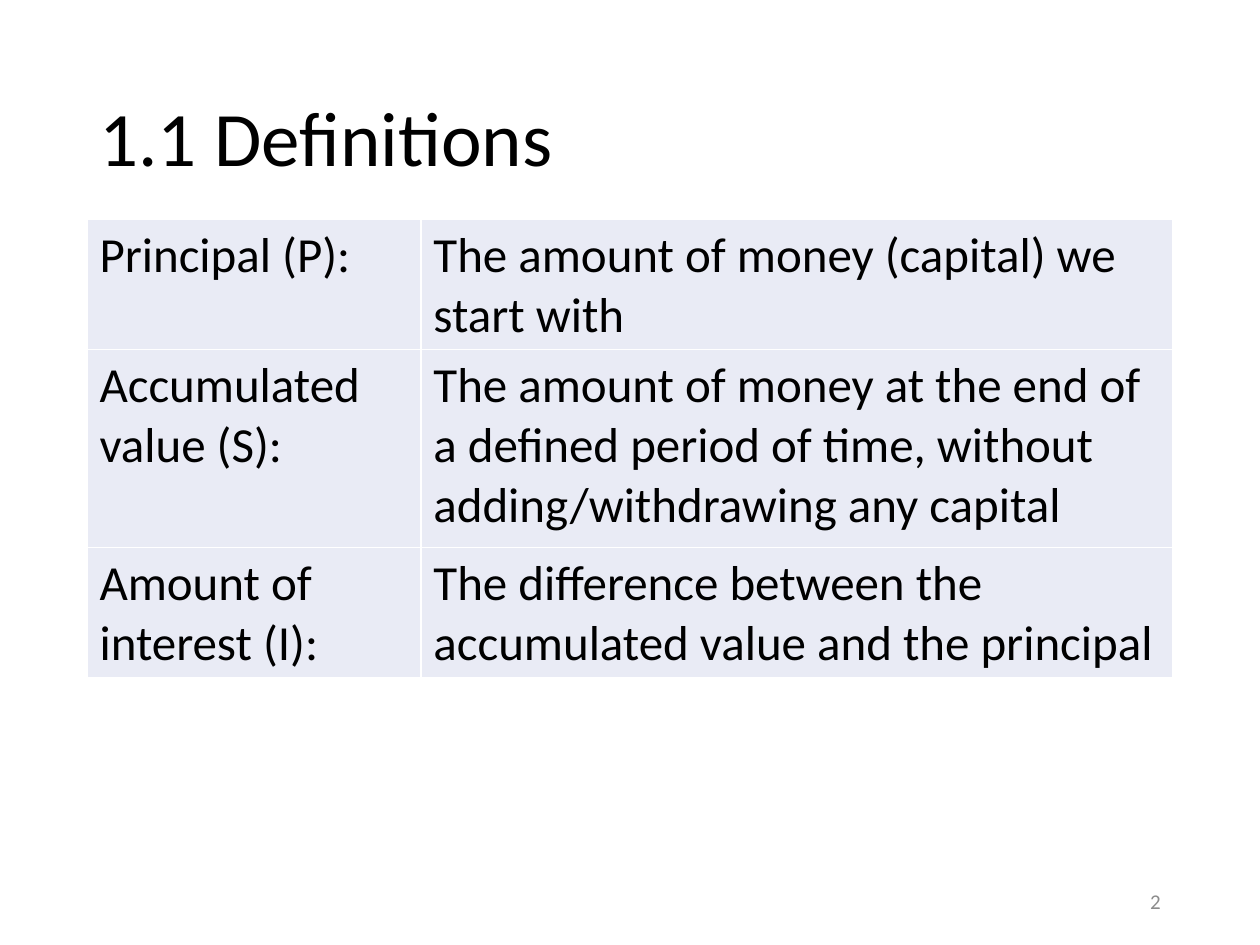
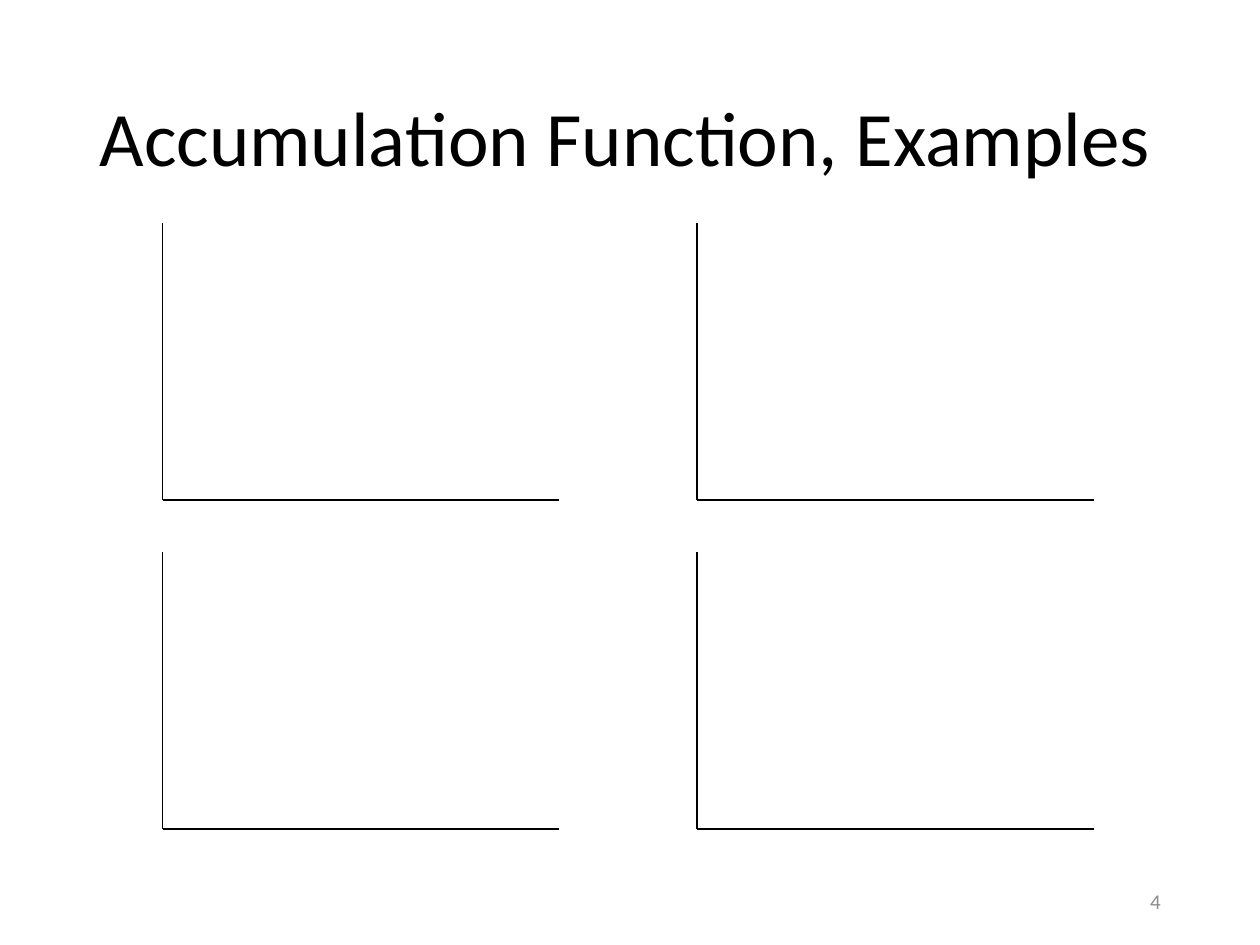
from dataclasses import dataclass
from itertools import product

import pptx
import pptx.dml.color
import pptx.enum.shapes
import pptx.enum.text
import pptx.oxml
import pptx.oxml.ns
import pptx.util
from pptx.util import Inches

# Shared style
HEX = {"ink": "000000", "note": "8C8C8C", "cell": "E9EBF5", "rule": "FFFFFF"}
FONT = "Calibri"
ALIGN = pptx.enum.text.PP_ALIGN
ANCHOR = pptx.enum.text.MSO_ANCHOR
LEFT, WIDTH = 0.69, 8.62


@dataclass
class Term:
    name: str
    sense: str
    height: float


@dataclass
class Axes:
    left: float
    top: float
    width: float = 3.15
    height: float = 2.2


TERMS = [
    Term("Principal (P):", "The amount of money (capital) we start with", 0.94),
    Term("Accumulated value (S):",
         "The amount of money at the end of a defined period of time, "
         "without adding/withdrawing any capital", 1.57),
    Term("Amount of interest (I):",
         "The difference between the accumulated value and the principal", 1.01),
]
PLOTS = [Axes(left, top) for left, top in product((1.29, 5.53), (1.77, 4.38))]


def color(name: str) -> pptx.dml.color.RGBColor:
    return pptx.dml.color.RGBColor.from_string(HEX[name])


def write(frame, text: str, size: float, ink: str = "ink", align=ALIGN.LEFT,
          anchor=ANCHOR.TOP, space: float = 1.0) -> None:
    """Fill a text frame with one formatted paragraph."""
    frame.word_wrap = True
    frame.vertical_anchor = anchor
    para = frame.paragraphs[0]
    para.alignment = align
    para.line_spacing = space
    run = para.add_run()
    run.text = text
    run.font.name = FONT
    run.font.size = pptx.util.Pt(size)
    run.font.color.rgb = color(ink)


def add_page(deck, title: str, number: int):
    """Add a slide with its title and page number."""
    page = deck.slides.add_slide(deck.slide_layouts[5])
    head = page.shapes.title
    head.left, head.top = Inches(LEFT), Inches(0.4)
    head.width, head.height = Inches(WIDTH), Inches(1.45)
    head.text_frame.auto_size = pptx.enum.text.MSO_AUTO_SIZE.NONE
    write(head.text_frame, title, 44, anchor=ANCHOR.MIDDLE, space=0.9)
    box = page.shapes.add_textbox(Inches(7.06), Inches(6.95), Inches(2.25), Inches(0.4))
    write(box.text_frame, str(number), 12, ink="note", align=ALIGN.RIGHT,
          anchor=ANCHOR.MIDDLE)
    return page


def add_rules(cell) -> None:
    """Draw thin borders; they must come before the cell's fill."""
    props = cell._tc.get_or_add_tcPr()
    for side in ("lnL", "lnR", "lnT", "lnB"):
        props.append(pptx.oxml.parse_xml(
            f'<a:{side} {pptx.oxml.ns.nsdecls("a")} w="12700"><a:solidFill>'
            f'<a:srgbClr val="{HEX["rule"]}"/></a:solidFill></a:{side}>'))


def add_terms(page, terms: list[Term]) -> None:
    """Add the table of terms and their meanings."""
    high = sum(term.height for term in terms)
    grid = page.shapes.add_table(len(terms), 2, Inches(LEFT), Inches(1.74),
                                 Inches(WIDTH), Inches(high)).table
    grid.first_row = grid.horz_banding = False
    for col, width in zip(grid.columns, (2.65, WIDTH - 2.65)):
        col.width = Inches(width)
    for row, term in zip(grid.rows, terms):
        row.height = Inches(term.height)
        for cell, text in zip(row.cells, (term.name, term.sense)):
            add_rules(cell)
            cell.fill.solid()
            cell.fill.fore_color.rgb = color("cell")
            write(cell.text_frame, text, 28)


def add_line(page, x1: float, y1: float, x2: float, y2: float) -> None:
    line = page.shapes.add_connector(
        pptx.enum.shapes.MSO_CONNECTOR.STRAIGHT,
        Inches(x1), Inches(y1), Inches(x2), Inches(y2))
    line.line.color.rgb = color("ink")
    line.line.width = pptx.util.Pt(1)
    props = line._element.spPr
    props.append(props.makeelement(pptx.oxml.ns.qn("a:effectLst"), {}))


def add_axes(page, plot: Axes) -> None:
    """Draw the upright and the level axis of an empty plot."""
    base = plot.top + plot.height
    add_line(page, plot.left, plot.top, plot.left, base)
    add_line(page, plot.left, base, plot.left + plot.width, base)


def main() -> None:
    deck = pptx.Presentation()
    deck.slide_width, deck.slide_height = Inches(10), Inches(7.5)

    # Definitions
    add_terms(add_page(deck, "1.1 Definitions", 2), TERMS)

    # Examples
    page = add_page(deck, "Accumulation Function, Examples", 4)
    for plot in PLOTS:
        add_axes(page, plot)

    deck.save("out.pptx")


if __name__ == "__main__":
    main()
